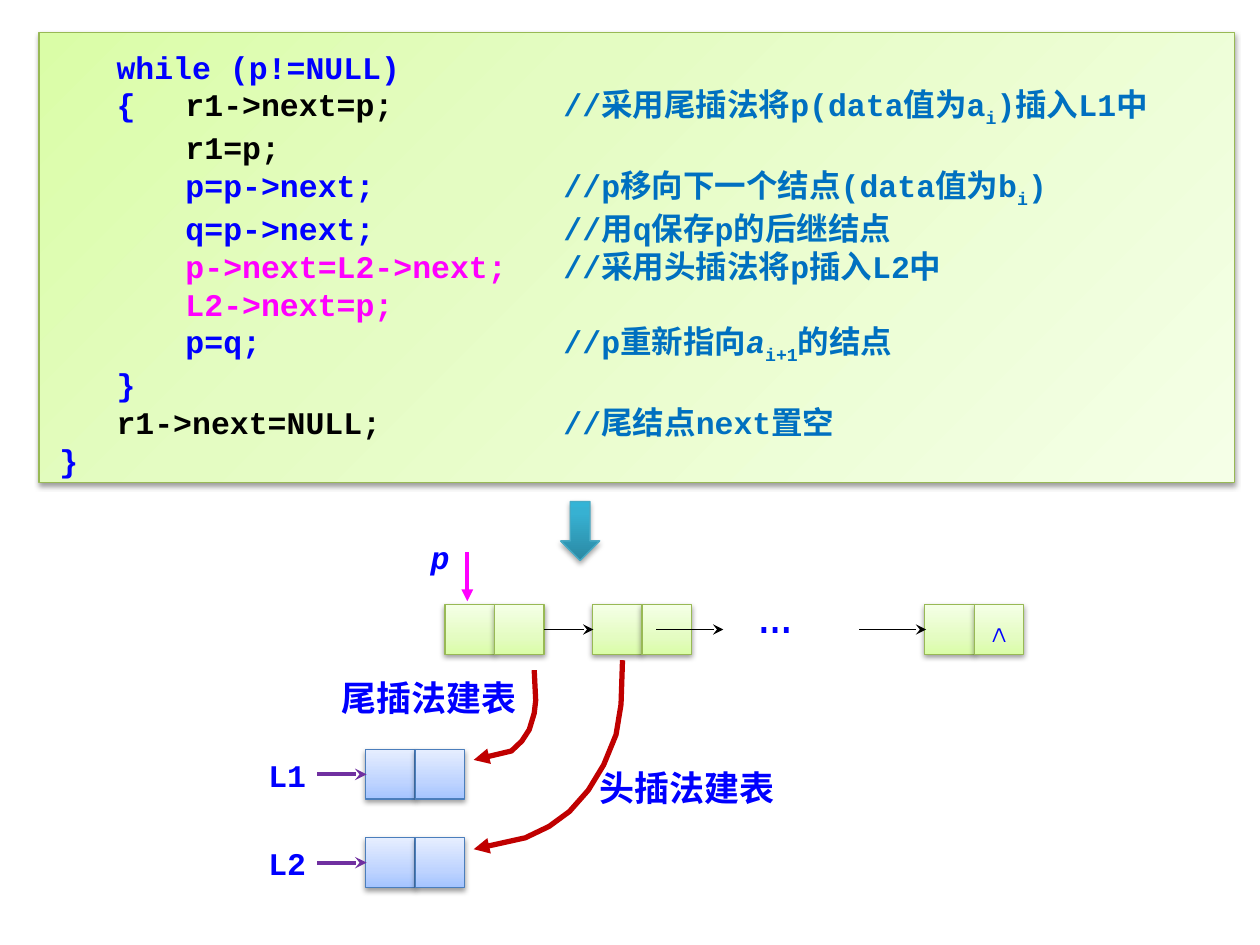
from lxml import etree
from pptx import Presentation
from pptx.dml.color import RGBColor
from pptx.enum import shapes, text
from pptx.oxml import ns
from pptx.util import Cm, Pt

FONT = "Courier New"
BLUE, BLACK, PINK = "0000FF", "000000", "FF00FF"
NOTE, RED, PURPLE = "0070C0", "C00000", "7030A0"
GREEN_STOPS = [(0, "DAFDA7"), (35, "E4FCC2"), (100, "F5FFE7")]
BLUE_STOPS = [(0, "A4C4FF"), (35, "BFD4FF"), (100, "E6EEFF")]
TEAL_STOPS = [(0, "2A88A2"), (80, "37B1D2"), (100, "34B4D6")]
GREEN_LINE, BLUE_LINE, TEAL_LINE = "98B955", "4B7EBC", "46AAC5"
CELL = 1.0
TAB_STOPS = (1.15, 2.54, 10.16)

# Each line is a list of (text, colour, style) spans
CODE = [
    [("\twhile (p!=NULL)", BLUE, "")],
    [("\t{\t", BLUE, ""), ("r1->next=p;\t", BLACK, ""),
     ("//采用尾插法将p(data值为a", NOTE, ""), ("i", NOTE, "sub"), (")插入L1中", NOTE, "")],
    [("\t\tr1=p;", BLACK, "")],
    [("\t\tp=p->next;\t", BLUE, ""), ("//p移向下一个结点(data值为b", NOTE, ""),
     ("i", NOTE, "sub"), (")", NOTE, "")],
    [("\t\tq=p->next;\t", BLUE, ""), ("//用q保存p的后继结点", NOTE, "")],
    [("\t\tp->next=L2->next;\t", PINK, ""), ("//采用头插法将p插入L2中", NOTE, "")],
    [("\t\tL2->next=p;", PINK, "")],
    [("\t\tp=q;\t", BLUE, ""), ("//p重新指向", NOTE, ""), ("a", NOTE, "italic"),
     ("i+1", NOTE, "sub"), ("的结点", NOTE, "")],
    [("\t}", BLUE, "")],
    [("\tr1->next=NULL;\t", BLACK, ""), ("//尾结点next置空", NOTE, "")],
    [("}", BLUE, "")],
]

# Curve points relative to the top left of each curve's box
TAIL_CURVE = [(1.22, 0), (1.25, 0.61), (1.22, 0.87), (1.12, 1.2), (0.97, 1.43),
              (0.76, 1.63), (0, 1.81)]
HEAD_CURVE = [(3, 0), (2.97, 0.89), (2.87, 1.5), (2.62, 2.11), (2.31, 2.62),
              (1.93, 3.05), (1.52, 3.35), (1.04, 3.58), (0, 3.81)]


def colour(value):
    return RGBColor.from_string(value)


def add_xml(parent, tag, **attributes):
    return etree.SubElement(parent, ns.qn(tag), {k: str(v) for k, v in attributes.items()})


def style_span(span, hue=BLUE, size=18, bold=True, italic=False):
    span.font.name = FONT
    span.font.size = Pt(size)
    span.font.bold = bold
    span.font.italic = italic
    span.font.color.rgb = colour(hue)


def add_block(page, kind, left, top, width, height, stops, edge, angle=270, shade=38):
    """Preset shape with a gradient fill, thin outline and soft shadow."""
    block = page.shapes.add_shape(kind, Cm(left), Cm(top), Cm(width), Cm(height))
    block.fill.gradient()
    block.fill.gradient_angle = 360 - angle
    stop_list = block.element.spPr.find(ns.qn("a:gradFill")).find(ns.qn("a:gsLst"))
    for old in list(stop_list):
        stop_list.remove(old)
    for position, hue in stops:
        stop = add_xml(stop_list, "a:gs", pos=position * 1000)
        add_xml(stop, "a:srgbClr", val=hue)
    block.line.color.rgb = colour(edge)
    block.line.width = Pt(0.75)
    block.shadow.inherit = False
    effects = block.element.spPr.find(ns.qn("a:effectLst"))
    shadow = add_xml(effects, "a:outerShdw", blurRad=Pt(3.1), dist=Pt(1.6),
                     dir=90 * 60000, rotWithShape=0)
    add_xml(add_xml(shadow, "a:srgbClr", val=BLACK), "a:alpha", val=shade * 1000)
    return block


def style_arrow(line, hue, width, head):
    line.line.color.rgb = colour(hue)
    line.line.width = Pt(width)
    add_xml(line.line._get_or_add_ln(), "a:tailEnd", type=head)


def add_arrow(page, x1, y1, x2, y2, hue=BLACK, width=0.75, head="stealth"):
    arrow = page.shapes.add_connector(shapes.MSO_CONNECTOR.STRAIGHT,
                                      Cm(x1), Cm(y1), Cm(x2), Cm(y2))
    style_arrow(arrow, hue, width, head)
    add_xml(arrow.element.spPr, "a:effectLst")


def add_curve(page, left, top, points):
    spots = [(Cm(left + x), Cm(top + y)) for x, y in points]
    builder = page.shapes.build_freeform(*spots[0])
    builder.add_line_segments(spots[1:], close=False)
    curve = builder.convert_to_shape()
    curve.fill.background()
    curve.shadow.inherit = False
    style_arrow(curve, RED, 3, "triangle")


def add_label(page, left, top, width, height, words, **style):
    box = page.shapes.add_textbox(Cm(left), Cm(top), Cm(width), Cm(height))
    box.text_frame.word_wrap = True
    box.text_frame.text = words
    style_span(box.text_frame.paragraphs[0].runs[0], **style)


def add_node(page, left, top, stops, edge):
    """Two-cell list node; returns the pointer cell."""
    for column in range(2):
        cell = add_block(page, shapes.MSO_SHAPE.RECTANGLE, left + column * CELL, top,
                         CELL, CELL, stops, edge)
    return cell


def code_panel(page, left, top, width, height):
    panel = add_block(page, shapes.MSO_SHAPE.RECTANGLE, left, top, width, height,
                      GREEN_STOPS, GREEN_LINE, angle=45)
    frame = panel.text_frame
    frame.word_wrap = True
    frame.vertical_anchor = text.MSO_ANCHOR.TOP
    frame.margin_left = frame.margin_right = Cm(0.41)
    frame.margin_top = frame.margin_bottom = Cm(0.3)
    for number, line in enumerate(CODE):
        para = frame.add_paragraph() if number else frame.paragraphs[0]
        para.alignment = text.PP_ALIGN.LEFT
        tabs = add_xml(para._p.get_or_add_pPr(), "a:tabLst")
        for stop in TAB_STOPS:
            add_xml(tabs, "a:tab", pos=Cm(stop), algn="l")
        for words, hue, style in line:
            span = para.add_run()
            span.text = words
            style_span(span, hue, italic=style == "italic")
            if style == "sub":
                span.font._element.set("baseline", "-25000")


def source_list(page, left, top):
    """Linked list being split, with the pointer p above its first node."""
    row = top + 1.47
    middle = row + CELL / 2
    for offset in (0.54, 3.51, 10.21):
        last = add_node(page, left + offset, row, GREEN_STOPS, GREEN_LINE)
    frame = last.text_frame
    frame.word_wrap = False
    frame.vertical_anchor = text.MSO_ANCHOR.MIDDLE
    frame.text = "∧"
    frame.paragraphs[0].alignment = text.PP_ALIGN.CENTER
    style_span(frame.paragraphs[0].runs[0])
    for start, end in ((2.54, 3.53), (4.8, 6.15), (8.89, 10.24)):
        add_arrow(page, left + start, middle, left + end, middle)
    add_label(page, left + 6.61, top + 0.79, 2.01, 1.6, "…", size=32, bold=False)
    add_label(page, left, top, 1, 1.02, "p", italic=True)
    add_arrow(page, left + 0.99, top + 0.41, left + 0.99, top + 1.4,
              PINK, 2.25, "triangle")


def result_list(page, left, top, name):
    add_node(page, left + 2.21, top, BLUE_STOPS, BLUE_LINE)
    add_arrow(page, left + 1.24, top + CELL / 2, left + 2.23, top + CELL / 2, PURPLE, 2.25)
    add_label(page, left, top, 1.4, 1.02, name)


def main():
    deck = Presentation()
    deck.slide_width, deck.slide_height = Cm(25.4), Cm(19.05)
    page = deck.slides.add_slide(deck.slide_layouts[6])

    code_panel(page, 0.79, 0.66, 24.1, 9.07)
    add_block(page, shapes.MSO_SHAPE.DOWN_ARROW, 11.3, 10.11, 0.79, 1.19,
              TEAL_STOPS, TEAL_LINE, shade=35)
    source_list(page, 8.43, 10.72)
    for number, name in enumerate(("L1", "L2")):
        result_list(page, 5.16, 15.11 + number * 1.78, name)

    # Insertion paths and their captions
    add_curve(page, 9.55, 13.51, TAIL_CURVE)
    add_label(page, 6.63, 13.51, 5.21, 1.09, "尾插法建表", size=20)
    add_curve(page, 9.55, 13.31, HEAD_CURVE)
    add_label(page, 11.84, 15.32, 5.21, 1.09, "头插法建表", size=20)

    deck.save("out.pptx")


if __name__ == "__main__":
    main()
